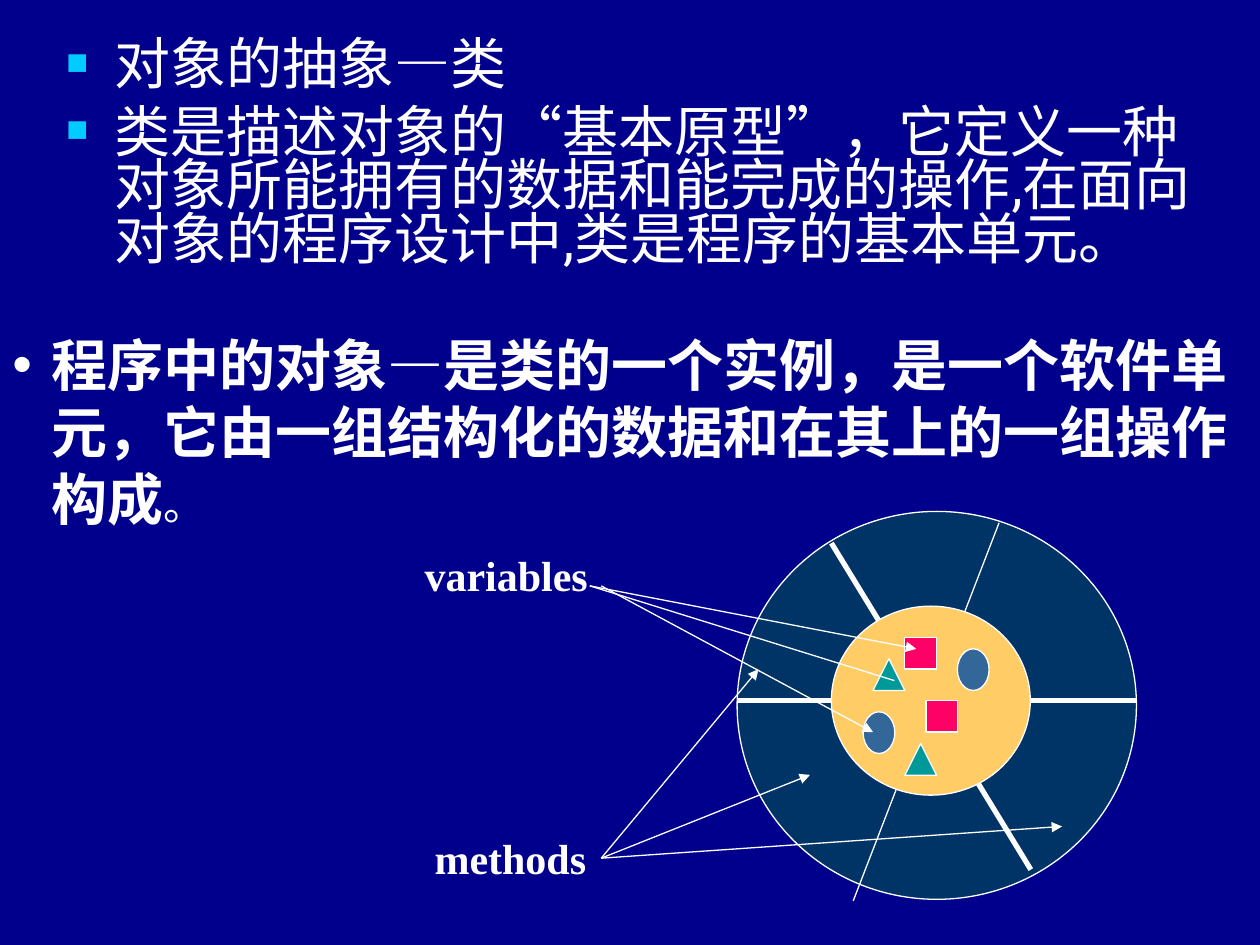
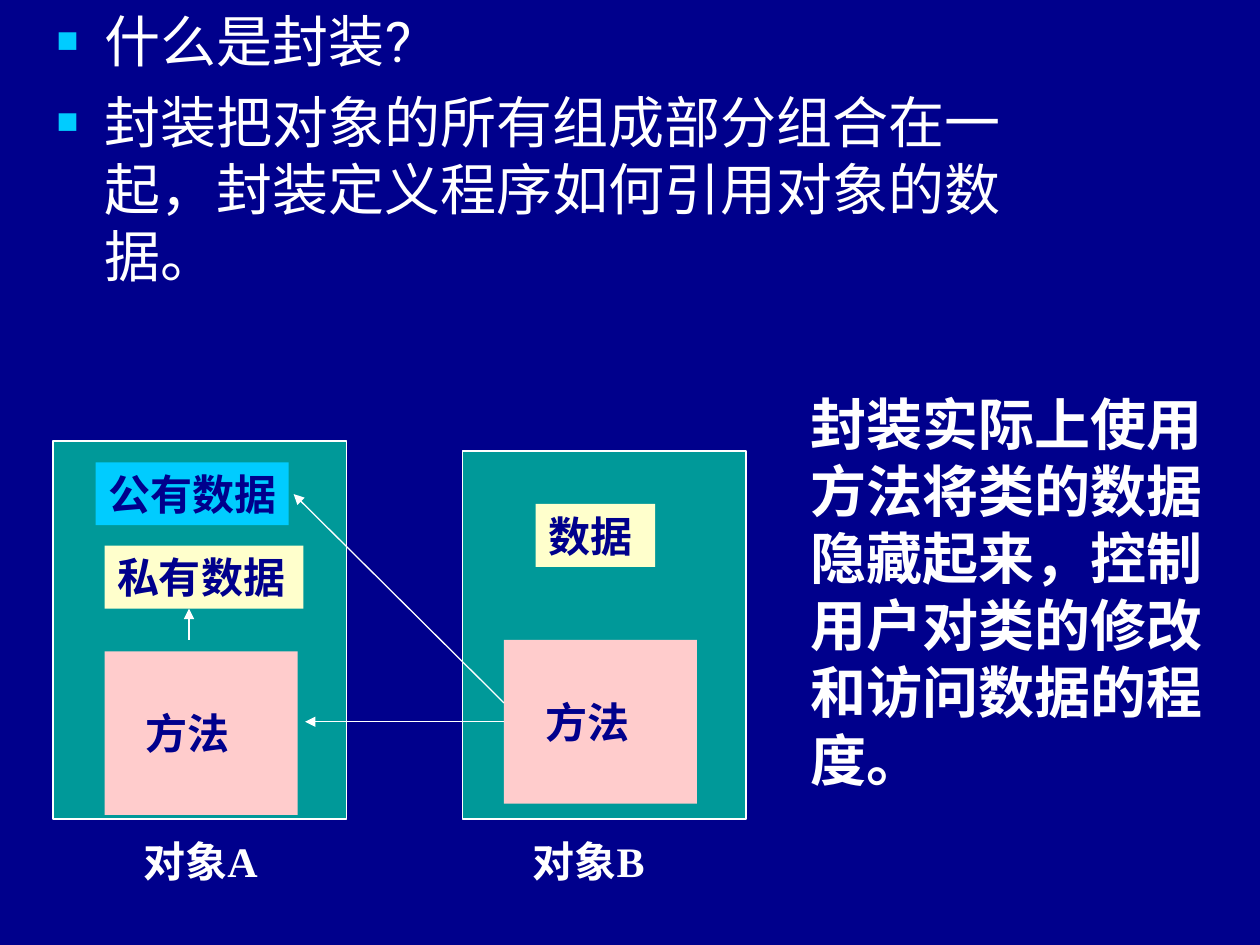
"""Build two slides on classes, objects and encapsulation."""
from dataclasses import dataclass
from typing import Any, Optional

import lxml.etree
import pptx
import pptx.dml.color
import pptx.enum.lang
import pptx.enum.shapes
import pptx.enum.text
import pptx.oxml.ns
import pptx.util

Cm = pptx.util.Cm
Pt = pptx.util.Pt
Kind = pptx.enum.shapes.MSO_SHAPE
Anchor = pptx.enum.text.MSO_ANCHOR
AutoSize = pptx.enum.text.MSO_AUTO_SIZE
qn = pptx.oxml.ns.qn

NAVY, WHITE, CYAN = "00008C", "FFFFFF", "00CCFF"
TEAL, CREAM, PINK = "009999", "FFFFCC", "FFCCCC"
RING, CORE, RED, BLUE = "003366", "FFCC66", "FF0066", "336699"
SERIF, SANS = "Times New Roman", "Roboto"
DOT = 0.64


@dataclass(frozen=True)
class Span:
    """A stretch of text in one format."""
    text: str
    size: float = 24
    name: str = SERIF
    bold: bool = True
    color: str = WHITE


@dataclass(frozen=True)
class Bullet:
    """A list mark and its hanging indent in centimetres."""
    char: str
    color: str
    percent: int
    indent: float


@dataclass(frozen=True)
class TextBlock:
    """A text box holding paragraphs made of spans."""
    left: float
    top: float
    width: float
    height: float
    paras: tuple[tuple[Span, ...], ...]
    bullet: Optional[Bullet] = None
    spacing: float = 1.0
    before: float = 0
    wrap: bool = True


@dataclass(frozen=True)
class Figure:
    """A filled preset shape, outlined or labelled."""
    kind: Any
    left: float
    top: float
    width: float
    height: float
    fill: str
    label: str = ""
    indent: float = 0
    outlined: bool = True


@dataclass(frozen=True)
class Line:
    """A straight line, with or without an arrowhead at its end."""
    start: tuple[float, float]
    end: tuple[float, float]
    width: float = 0.75
    arrow: bool = True


SQUARE = Bullet("■", CYAN, 65, 0.97)
ROUND = Bullet("•", WHITE, 100, 0.79)


def rgb(value: str) -> pptx.dml.color.RGBColor:
    """Turn a hex string into a colour."""
    return pptx.dml.color.RGBColor.from_string(value)


def apply(target: Any, values: dict[str, Any]) -> None:
    """Set each named attribute on the target."""
    for name, value in values.items():
        setattr(target, name, value)


def add_span(para: Any, span: Span) -> None:
    """Append one formatted span to a paragraph."""
    run = para.add_run()
    run.text = span.text
    apply(run.font, {
        "size": Pt(span.size),
        "name": span.name,
        "bold": span.bold,
        "language_id": pptx.enum.lang.MSO_LANGUAGE_ID.SIMPLIFIED_CHINESE,
    })
    run.font.color.rgb = rgb(span.color)


def add_bullet(para: Any, bullet: Bullet) -> None:
    """Give a paragraph its list mark, hanging indent and strict right edge."""
    props = para._p.get_or_add_pPr()
    props.set("marL", str(Cm(bullet.indent)))
    props.set("indent", str(-Cm(bullet.indent)))
    props.set("hangingPunct", "0")
    color = lxml.etree.SubElement(props, qn("a:buClr"))
    lxml.etree.SubElement(color, qn("a:srgbClr"), val=bullet.color)
    lxml.etree.SubElement(props, qn("a:buSzPct"), val=str(bullet.percent * 1000))
    lxml.etree.SubElement(props, qn("a:buFont"), typeface="Arial")
    lxml.etree.SubElement(props, qn("a:buChar"), char=bullet.char)


def draw_text(shapes: Any, block: TextBlock) -> None:
    """Draw a text box with its paragraphs."""
    box = shapes.add_textbox(Cm(block.left), Cm(block.top),
                             Cm(block.width), Cm(block.height))
    frame = box.text_frame
    apply(frame, {
        "word_wrap": block.wrap,
        "auto_size": AutoSize.NONE if block.wrap else AutoSize.SHAPE_TO_FIT_TEXT,
    })
    for index, spans in enumerate(block.paras):
        para = frame.add_paragraph() if index else frame.paragraphs[0]
        apply(para, {"line_spacing": block.spacing, "space_before": Pt(block.before)})
        if block.bullet:
            add_bullet(para, block.bullet)
        for span in spans:
            add_span(para, span)


def draw_figure(shapes: Any, figure: Figure) -> Any:
    """Draw a preset shape and return it."""
    shape = shapes.add_shape(figure.kind, Cm(figure.left), Cm(figure.top),
                             Cm(figure.width), Cm(figure.height))
    shape.shadow.inherit = False
    shape.fill.solid()
    shape.fill.fore_color.rgb = rgb(figure.fill)
    if figure.outlined:
        shape.line.color.rgb = rgb(WHITE)
        shape.line.width = Pt(0.75)
    else:
        shape.line.fill.background()
    if figure.label:
        apply(shape.text_frame, {
            "word_wrap": False,
            "vertical_anchor": Anchor.MIDDLE,
            "margin_left": Cm(0.25 + figure.indent),
        })
        para = shape.text_frame.paragraphs[0]
        para.alignment = pptx.enum.text.PP_ALIGN.LEFT
        add_span(para, Span(figure.label, color=NAVY))
    return shape


def draw_line(shapes: Any, line: Line) -> Any:
    """Draw a straight connector and return it."""
    points = [Cm(value) for value in line.start + line.end]
    connector = shapes.add_connector(pptx.enum.shapes.MSO_CONNECTOR.STRAIGHT, *points)
    connector.line.color.rgb = rgb(WHITE)
    connector.line.width = Pt(line.width)
    if line.arrow:
        lxml.etree.SubElement(connector.line._get_or_add_ln(), qn("a:tailEnd"),
                              type="triangle")
    lxml.etree.SubElement(connector._element.spPr, qn("a:effectLst"))
    return connector


def label(left: float, top: float, width: float, text: str) -> TextBlock:
    """Describe a one-line caption."""
    return TextBlock(left, top, width, 1.27, ((Span(text),),), wrap=False)


def tag(left: float, top: float, width: float, text: str, fill: str = CREAM) -> Figure:
    """Describe a data member."""
    return Figure(Kind.RECTANGLE, left, top, width, 1.27, fill, text, outlined=False)


def method(left: float, top: float) -> Figure:
    """Describe the method block of an object."""
    return Figure(Kind.RECTANGLE, left, top, 3.89, 3.3, PINK, "方法", 0.58, False)


def body(text: str, name: str = SANS) -> Span:
    """Describe plain body text."""
    return Span(text, 32, name, False)


def add_page(deck: Any) -> Any:
    """Add a blank page with the shared background."""
    page = deck.slides.add_slide(deck.slide_layouts[6])
    page.background.fill.solid()
    page.background.fill.fore_color.rgb = rgb(NAVY)
    return page


def build_class_page(deck: Any) -> None:
    """Build the page on classes and their instances."""
    page = add_page(deck)
    draw_text(page.shapes, TextBlock(1.09, 0.71, 23.39, 5, (
        (body("对象的抽象"), body("—", "Arial"), body("类")),
        (body("类是描述对象的“基本原型”，它定义一种对象所能拥有的数据和能完成的操作,"
              "在面向对象的程序设计中,类是程序的基本单元。"),),
    ), SQUARE, 0.8, 8))

    diagram = page.shapes.add_group_shape().shapes
    draw_figure(diagram, Figure(Kind.OVAL, 14.86, 10.31, 8.05, 7.82, RING))
    for start, end, width in (
        ((16.76, 10.95), (20.78, 17.53), 3),
        ((20.14, 10.54), (17.2, 18.16), 0.75),
        ((14.86, 14.12), (22.91, 14.12), 3),
    ):
        draw_line(diagram, Line(start, end, width, False))
    draw_figure(diagram, Figure(Kind.OVAL, 16.76, 12.22, 4.01, 3.81, CORE))
    for kind, height, fill, places in (
        (Kind.RECTANGLE, DOT, RED, ((18.24, 12.85), (18.67, 14.12))),
        (Kind.OVAL, 0.84, BLUE, ((17.4, 14.35), (19.3, 13.08))),
        (Kind.ISOSCELES_TRIANGLE, DOT, TEAL, ((17.6, 13.28), (18.24, 14.99))),
    ):
        for left, top in places:
            draw_figure(diagram, Figure(kind, left, top, DOT, height, fill))

    draw_text(diagram, label(8.31, 10.95, 3.8, "variables"))
    draw_line(diagram, Line((11.89, 11.81), (18.47, 13.08)))
    draw_line(diagram, Line((11.89, 11.81), (18.03, 13.72), arrow=False))
    draw_line(diagram, Line((12.12, 11.81), (17.6, 14.76)))
    draw_text(diagram, label(8.51, 16.66, 3.58, "methods"))
    for end in ((15.29, 13.49), (21.41, 16.66), (16.33, 15.62)):
        draw_line(diagram, Line((12.12, 17.3), end))

    draw_text(page.shapes, TextBlock(0, 6.53, 25.4, 4.32, ((
        Span("程序中的对象—是类的一个实例，是一个软件单元，"
             "它由一组结构化的数据和在其上的一组操作构成", 32),
        Span("。", bold=False),
    ),), ROUND))


def build_encapsulation_page(deck: Any) -> None:
    """Build the page on encapsulation."""
    page = add_page(deck)
    shapes = page.shapes
    draw_text(shapes, TextBlock(0.89, 0, 21.36, 5.13, (
        (body("什么是封装?"),),
        (body("封装把对象的所有组成部分组合在一起，封装定义程序如何引用对象的数据。"),),
    ), SQUARE, before=8))
    draw_text(shapes, TextBlock(16.08, 7.72, 9.32, 8.38, ((
        Span("封装实际上使用方法将类的数据隐藏起来，控制用户对类的修改和访问数据的程度。", 32),
    ),)))

    for figure in (
        Figure(Kind.RECTANGLE, 1.07, 8.89, 5.92, 7.62, TEAL),
        Figure(Kind.RECTANGLE, 9.32, 9.09, 5.72, 7.42, TEAL),
        tag(1.93, 9.32, 3.89, "公有数据", CYAN),
        tag(2.11, 11, 4.01, "私有数据"),
        tag(10.8, 10.16, 2.41, "数据"),
        method(2.11, 13.13),
    ):
        draw_figure(shapes, figure)
    caller = draw_figure(shapes, method(10.16, 12.9))

    draw_line(shapes, Line((3.81, 12.9), (3.81, 12.27)))
    draw_line(shapes, Line((10.16, 14.17), (5.92, 9.96)))
    call = draw_line(shapes, Line((10.16, 14.55), (6.15, 14.55)))
    call.begin_connect(caller, 1)

    draw_text(shapes, label(2.64, 16.71, 3.05, "对象A"))
    draw_text(shapes, label(10.49, 16.71, 3, "对象B"))


def main() -> None:
    """Build and save the deck."""
    deck = pptx.Presentation()
    apply(deck, {"slide_width": Cm(25.4), "slide_height": Cm(19.05)})
    build_class_page(deck)
    build_encapsulation_page(deck)
    deck.save("out.pptx")


if __name__ == "__main__":
    main()
